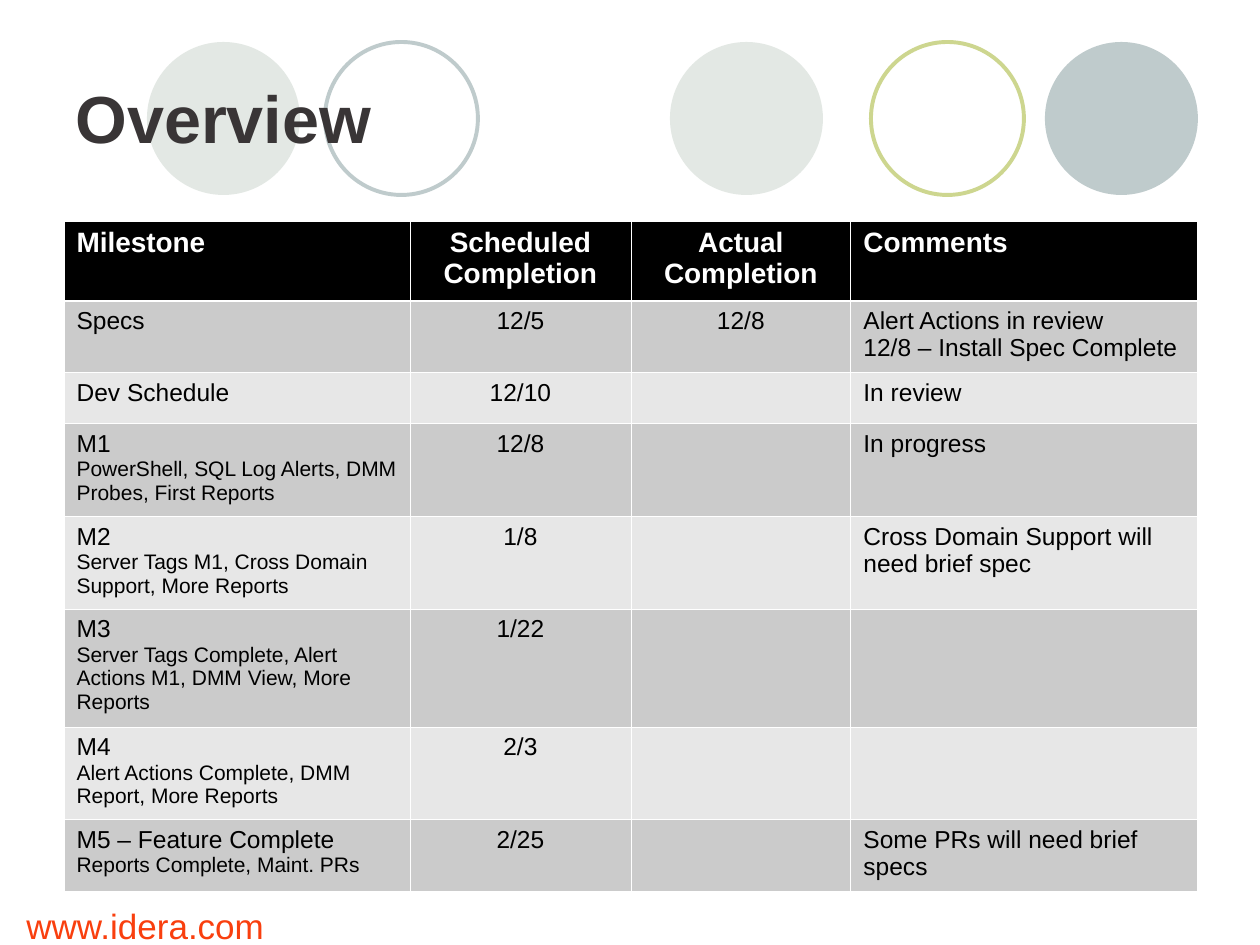
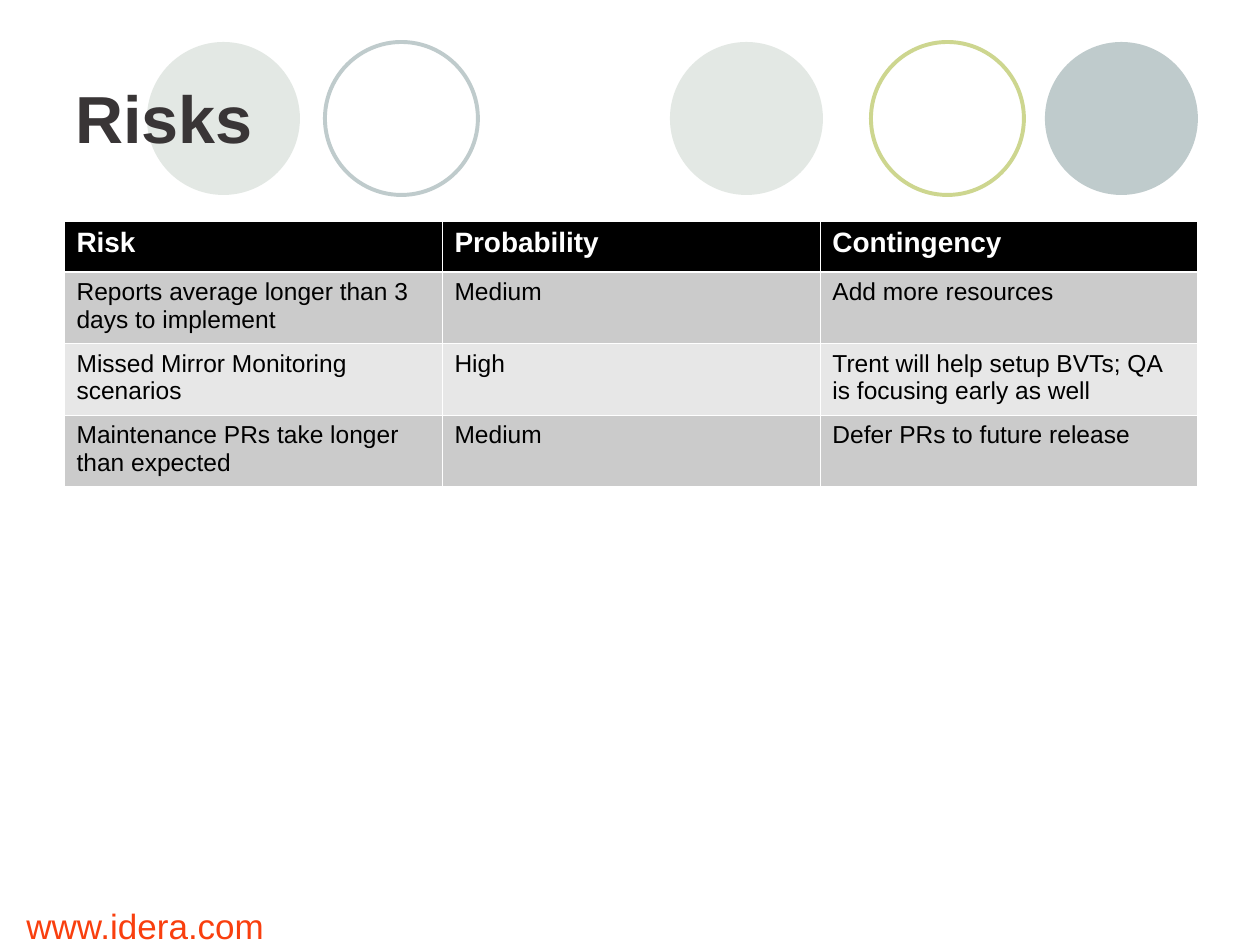
from lxml import etree
from pptx import Presentation, util as u
from pptx.dml.color import RGBColor
from pptx.enum import shapes, text
from pptx.oxml.ns import qn

PX = 914400 // 126
FONT = "Arial"
WHITE, BLACK = "FFFFFF", "000000"
BANDS = ("CBCBCB", "E7E7E7")
TITLE_COLOR, FOOTER_COLOR = "393536", "F93F0E"
SAGE, MIST, LIME = "E3E8E4", "BFCBCC", "CDD68F"
THIN, THICK = 0.45, 1.47
LEFT, CENTER = text.PP_ALIGN.LEFT, text.PP_ALIGN.CENTER

# Header circles: left, top, colour, filled
CIRCLE_SIZE = 153
CIRCLES = [
    (670, 42, SAGE, True),
    (1045, 42, MIST, True),
    (147, 42, SAGE, True),
    (871, 42, LIME, False),
    (325, 42, MIST, False),
]
FOOTER = "www.idera.com"

# Each table lists its header first; a second line in column one is a detail
SLIDES = [
    {
        "title": "Overview",
        "columns": [346, 221, 220, 347],
        "centered": {1, 2},
        "heights": [79, 72, 51, 93, 92, 118, 92, 72],
        "rows": [
            ("Milestone", "Scheduled Completion", "Actual Completion", "Comments"),
            ("Specs", "12/5", "12/8",
             "Alert Actions in review\n12/8 – Install Spec Complete"),
            ("Dev Schedule", "12/10", "", "In review"),
            ("M1\nPowerShell, SQL Log Alerts, DMM Probes, First Reports",
             "12/8", "", "In progress"),
            ("M2\nServer Tags M1, Cross Domain Support, More Reports",
             "1/8", "", "Cross Domain Support will need brief spec"),
            ("M3\nServer Tags Complete, Alert Actions M1, DMM View, More Reports",
             "1/22", "", ""),
            ("M4\nAlert Actions Complete, DMM Report, More Reports",
             "2/3", "", ""),
            ("M5 – Feature Complete\nReports Complete, Maint. PRs",
             "2/25", "", "Some PRs will need brief specs"),
        ],
    },
    {
        "title": "Risks",
        "columns": [378] * 3,
        "centered": set(),
        "heights": [51, 71, 71, 71],
        "rows": [
            ("Risk", "Probability", "Contingency"),
            ("Reports average longer than 3 days to implement", "Medium",
             "Add more resources"),
            ("Missed Mirror Monitoring scenarios", "High",
             "Trent will help setup BVTs; QA is focusing early as well"),
            ("Maintenance PRs take longer than expected", "Medium",
             "Defer PRs to future release"),
        ],
    },
]


def rgb(value):
    return RGBColor.from_string(value)


def px(*lengths):
    return [length * PX for length in lengths]


def write(frame, content, size, color, bold=False, align=LEFT, detail_size=None):
    """Put each line of content in its own paragraph."""
    frame.word_wrap = True
    for index, line in enumerate(content.split("\n")):
        paragraph = frame.add_paragraph() if index else frame.paragraphs[0]
        paragraph.alignment = align
        font = paragraph.font
        if line:
            run = paragraph.add_run()
            run.text = line
            font = run.font
        font.name, font.bold = FONT, bold
        font.size = u.Pt(detail_size if index and detail_size else size)
        font.color.rgb = rgb(color)


def add_text(slide, box, content, anchor=text.MSO_ANCHOR.TOP, **style):
    frame = slide.shapes.add_textbox(*px(*box)).text_frame
    frame.vertical_anchor = anchor
    write(frame, content, **style)


def add_circle(slide, left, top, color, filled):
    circle = slide.shapes.add_shape(
        shapes.MSO_SHAPE.OVAL, *px(left, top, CIRCLE_SIZE, CIRCLE_SIZE))
    circle.shadow.inherit = False
    if filled:
        circle.fill.solid()
        circle.fill.fore_color.rgb = rgb(color)
        circle.line.fill.background()
    else:
        circle.fill.background()
        circle.line.color.rgb = rgb(color)
        circle.line.width = u.Pt(2.25)


def set_borders(cell, **widths):
    """Draw white borders; they come before the fill in the cell properties."""
    properties = cell._tc.get_or_add_tcPr()
    for index, (side, width) in enumerate(widths.items()):
        line = etree.Element(qn(f"a:ln{side}"), w=str(int(u.Pt(width))))
        fill = etree.SubElement(line, qn("a:solidFill"))
        etree.SubElement(fill, qn("a:srgbClr"), val=WHITE)
        properties.insert(index, line)


def add_table(slide, rows, columns, heights, centered):
    table = slide.shapes.add_table(
        len(rows), len(columns),
        *px(64, 221, sum(columns), sum(heights))).table
    table.first_row = table.horz_banding = False
    for column, width in zip(table.columns, px(*columns)):
        column.width = width
    for row, height in zip(table.rows, px(*heights)):
        row.height = height

    for r, values in enumerate(rows):
        header = r == 0
        for c, value in enumerate(values):
            cell = table.cell(r, c)
            cell.fill.solid()
            cell.fill.fore_color.rgb = rgb(BLACK if header else BANDS[(r - 1) % 2])
            set_borders(cell, L=THIN, R=THIN,
                        T=THICK if r == 1 else THIN,
                        B=THICK if header else THIN)
            write(cell.text_frame, value, size=16 if header else 14,
                  color=WHITE if header else BLACK, bold=header,
                  align=CENTER if c in centered else LEFT,
                  detail_size=12 if c == 0 else None)


def main():
    presentation = Presentation()
    presentation.slide_width, presentation.slide_height = px(1260, 945)
    for content in SLIDES:
        slide = presentation.slides.add_slide(presentation.slide_layouts[6])
        for circle in CIRCLES:
            add_circle(slide, *circle)
        add_text(slide, (63, 38, 1134, 158), content["title"],
                 anchor=text.MSO_ANCHOR.MIDDLE, size=38,
                 color=TITLE_COLOR, bold=True)
        add_table(slide, content["rows"], content["columns"],
                  content["heights"], content["centered"])
        add_text(slide, (14, 898, 294, 63), FOOTER, size=20, color=FOOTER_COLOR)
    presentation.save("out.pptx")


if __name__ == "__main__":
    main()
